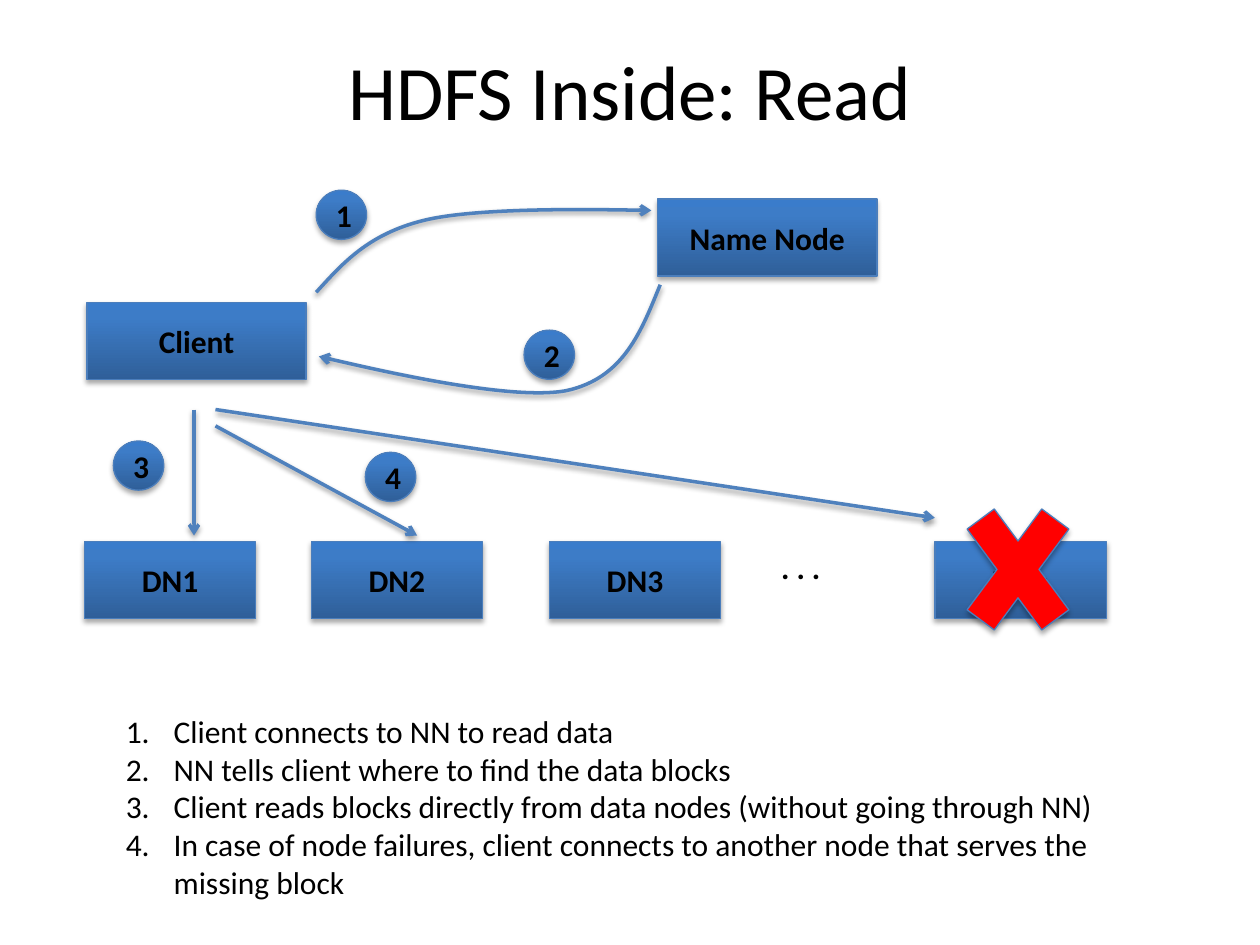
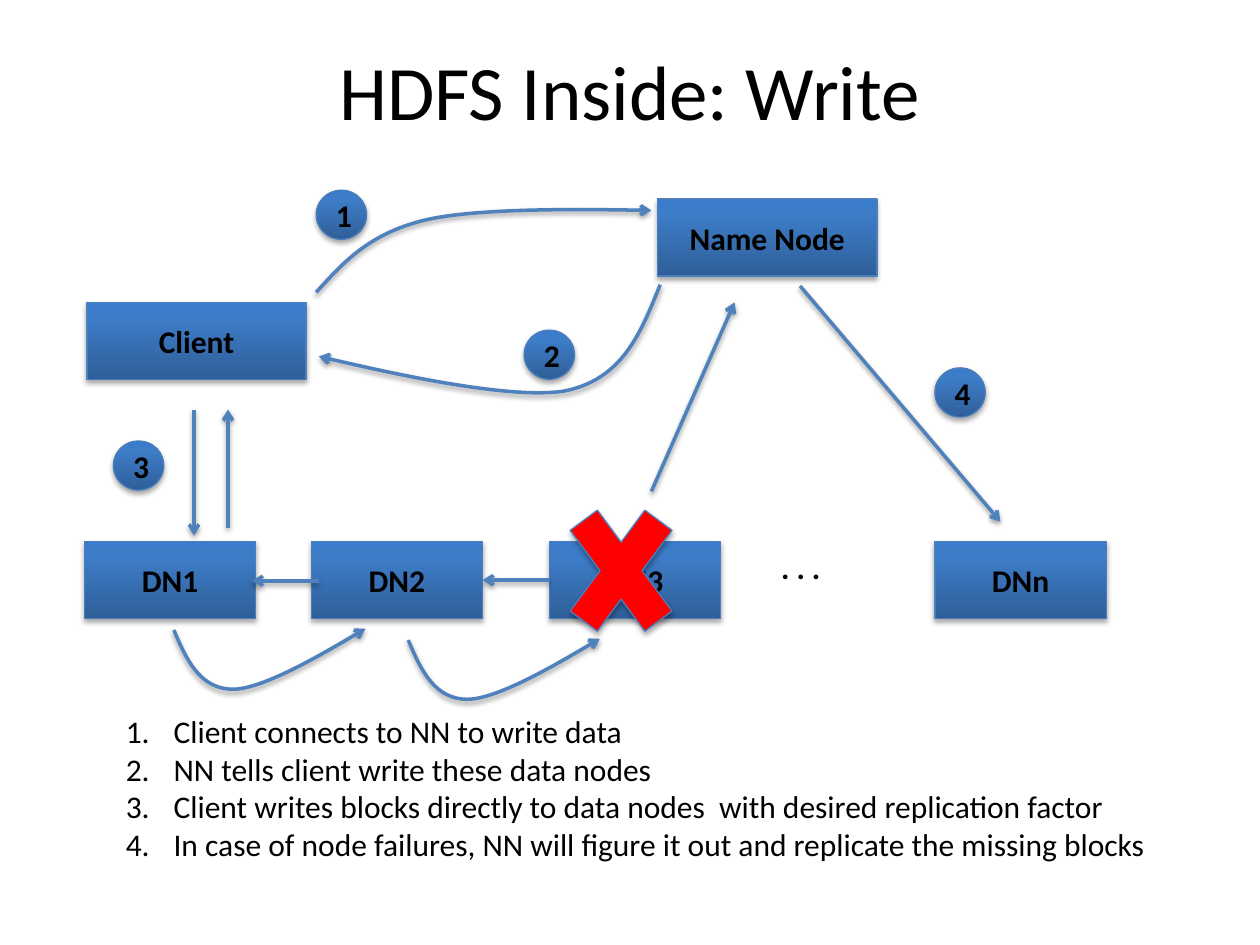
"""Builds two slides showing how HDFS clients read and write data blocks."""
import copy

import pptx
import pptx.dml.color
import pptx.enum.shapes
import pptx.enum.text
import pptx.oxml
import pptx.oxml.ns
import pptx.util
from pptx.util import Inches

RGB = pptx.dml.color.RGBColor
SHAPE = pptx.enum.shapes.MSO_SHAPE
ALIGN = pptx.enum.text.PP_ALIGN
ANCHOR = pptx.enum.text.MSO_ANCHOR

BLACK = RGB(0x00, 0x00, 0x00)
RED = RGB(0xFF, 0x00, 0x00)
OUTLINE = RGB(0x4B, 0x7E, 0xBC)
ARROW = RGB(0x4F, 0x81, 0xBD)
NODE_STOPS = [
    (0.0, RGB(0x2F, 0x5F, 0x99)),
    (0.8, RGB(0x3D, 0x7C, 0xC7)),
    (1.0, RGB(0x3A, 0x7C, 0xCB)),
]

TITLE_FONT = {"name": "Calibri", "size": pptx.util.Pt(44)}
LABEL_FONT = {"name": "Calibri", "size": pptx.util.Pt(18), "bold": True}
STEP_FONT = {"name": "Calibri", "size": pptx.util.Pt(18)}

NODE_HEIGHT = 0.61
MASTER_WIDTH, DATA_WIDTH = 1.74, 1.36
DATA_TOP = 4.3
BADGE_SIZE = (0.4, 0.39)
CROSS_SIZE = (1.14, 1.54)

MASTERS = {"Client": (0.69, 2.4), "Name Node": (5.22, 1.58)}
DATA_NODES = {"DN1": 0.67, "DN2": 2.47, "DN3": 4.36, "DNn": 7.42}
BADGES = [(2.51, 1.51), (4.16, 2.62), (0.9, 3.5)]
REQUEST_CURVES = [
    [(2.51, 2.32), (2.72, 2.09), (2.92, 1.86), (3.36, 1.75),
     (3.8, 1.64), (5.17, 1.67), (5.17, 1.67)],
    [(5.24, 2.26), (5.09, 2.63), (4.95, 3), (4.5, 3.1),
     (4.05, 3.19), (2.53, 2.83), (2.53, 2.83)],
]
CLIENT_TO_DN1 = ((1.54, 3.25), (1.54, 4.25))
REPLICA_CURVE = [(0, 0), (0.1, 0.24), (0.21, 0.47), (0.47, 0.47),
                 (0.72, 0.47), (1.52, -0.01), (1.52, -0.01)]

SLIDES = [
    {
        "title": "HDFS Inside: Read",
        "steps": [
            "Client connects to NN to read data",
            "NN tells client where to find the data blocks",
            "Client reads blocks directly from data nodes (without going through NN)",
            "In case of node failures, client connects to another node that serves "
            "the missing block",
        ],
        "steps_size": (8.22, 1.62),
        "failure_badge": (2.9, 3.59),
        "cross": (7.51, 3.75),
        "arrows": [((1.71, 3.25), (7.42, 4.11)), ((1.71, 3.38), (3.31, 4.25))],
        "replica_starts": [],
        "acknowledgements": [],
    },
    {
        "title": "HDFS Inside: Write",
        "steps": [
            "Client connects to NN to write data",
            "NN tells client write these data nodes",
            "Client writes blocks directly to data nodes  with desired replication factor",
            "In case of node failures, NN will figure it out and replicate the missing blocks",
        ],
        "steps_size": (8.7, 1.31),
        "failure_badge": (7.42, 2.92),
        "cross": (4.36, 3.76),
        "arrows": [
            ((6.35, 2.27), (7.94, 4.14)),
            ((1.81, 4.19), (1.81, 3.25)),
            ((2.53, 4.61), (2, 4.61)),
            ((5.17, 3.9), (5.83, 2.4)),
        ],
        "replica_starts": [(1.38, 5), (3.24, 5.08)],
        "acknowledgements": [("DN3", "DN2")],
    },
]


def add_xml(parent, xml):
    child = pptx.oxml.parse_xml(
        xml.replace(" ", f" {pptx.oxml.ns.nsdecls('a')} ", 1))
    parent.append(child)
    return child


def add_shadow(shape, alpha, distance):
    add_xml(shape.element.spPr, (
        f'<a:effectLst ><a:outerShdw blurRad="{pptx.util.Pt(3.1)}" '
        f'dist="{pptx.util.Pt(distance)}" dir="5400000" rotWithShape="0">'
        f'<a:srgbClr val="{BLACK}"><a:alpha val="{alpha * 1000}"/></a:srgbClr>'
        '</a:outerShdw></a:effectLst>'))


def style_text(paragraph, text, font_values):
    paragraph.text = text
    for attribute, value in font_values.items():
        setattr(paragraph.font, attribute, value)
    paragraph.font.color.rgb = BLACK


def add_preset(slide, preset, position, size):
    shape = slide.shapes.add_shape(preset, *map(Inches, position + size))
    shape.line.color.rgb = OUTLINE
    shape.line.width = pptx.util.Pt(0.75)
    return shape


def add_node(slide, preset, position, size, label):
    node = add_preset(slide, preset, position, size)
    node.fill.gradient()
    node.fill.gradient_angle = 90
    stops = node.element.spPr.find(".//" + pptx.oxml.ns.qn("a:gsLst"))
    stops.insert(1, copy.deepcopy(stops[0]))
    for stop, (offset, color) in zip(node.fill.gradient_stops, NODE_STOPS):
        stop.position = offset
        stop.color.rgb = color
    add_shadow(node, 35, 1.8)
    node.text_frame.vertical_anchor = ANCHOR.MIDDLE
    paragraph = node.text_frame.paragraphs[0]
    paragraph.alignment = ALIGN.CENTER
    style_text(paragraph, label, LABEL_FONT)
    return node


def add_cross(slide, position):
    cross = add_preset(slide, SHAPE.MATH_MULTIPLY, position, CROSS_SIZE)
    cross.fill.solid()
    cross.fill.fore_color.rgb = RED
    add_shadow(cross, 35, 1.8)


def style_arrow(arrow):
    arrow.line.color.rgb = ARROW
    arrow.line.width = pptx.util.Pt(2)
    outline = arrow.element.spPr.find(pptx.oxml.ns.qn("a:ln"))
    add_xml(outline, "<a:round />")
    add_xml(outline, '<a:tailEnd type="arrow"/>')
    add_shadow(arrow, 38, 1.6)


def add_arrow(slide, start, end):
    arrow = slide.shapes.add_connector(
        pptx.enum.shapes.MSO_CONNECTOR.STRAIGHT, *map(Inches, start + end))
    style_arrow(arrow)
    return arrow


def add_curve(slide, controls):
    start, *rest = [tuple(map(Inches, point)) for point in controls]
    builder = slide.shapes.build_freeform(*start)
    builder.add_line_segments(rest, close=False)
    curve = builder.convert_to_shape()
    segments = curve.element.spPr.findall(".//" + pptx.oxml.ns.qn("a:lnTo"))
    outline = segments[0].getparent()
    for first in range(0, len(segments), 3):
        bend = add_xml(outline, "<a:cubicBezTo />")
        for segment in segments[first:first + 3]:
            bend.append(segment[0])
            outline.remove(segment)
    curve.fill.background()
    style_arrow(curve)


def add_text(slide, position, size, lines, font_values):
    box = slide.shapes.add_textbox(*map(Inches, position + size))
    frame = box.text_frame
    frame.word_wrap = True
    for index, line in enumerate(lines):
        paragraph = frame.add_paragraph() if index else frame.paragraphs[0]
        style_text(paragraph, line, font_values)
    return frame


def add_title(slide, title):
    frame = add_text(slide, (0.5, 0.09), (9, 1.25), [title], TITLE_FONT)
    frame.vertical_anchor = ANCHOR.MIDDLE
    frame.paragraphs[0].alignment = ALIGN.CENTER


def add_steps(slide, steps, size):
    frame = add_text(slide, (0.9, 5.6), size, [], STEP_FONT)
    for index, step in enumerate(steps):
        paragraph = frame.add_paragraph() if index else frame.paragraphs[0]
        properties = paragraph._p.get_or_add_pPr()
        properties.set("marL", str(Inches(0.38)))
        properties.set("indent", str(Inches(-0.38)))
        add_xml(properties, '<a:buFont typeface="+mj-lt"/>')
        add_xml(properties, '<a:buAutoNum type="arabicPeriod"/>')
        style_text(paragraph, step, STEP_FONT)


def build_slide(deck, content):
    slide = deck.slides.add_slide(deck.slide_layouts[6])
    add_title(slide, content["title"])
    for label, position in MASTERS.items():
        add_node(slide, SHAPE.RECTANGLE, position, (MASTER_WIDTH, NODE_HEIGHT), label)
    data_nodes = {
        label: add_node(slide, SHAPE.RECTANGLE, (left, DATA_TOP),
                        (DATA_WIDTH, NODE_HEIGHT), label)
        for label, left in DATA_NODES.items()}
    add_text(slide, (6.1, DATA_TOP), (1.21, 0.4), [". . ."], LABEL_FONT)

    replica_curves = [[(left + x, top + y) for x, y in REPLICA_CURVE]
                      for left, top in content["replica_starts"]]
    for controls in REQUEST_CURVES + replica_curves:
        add_curve(slide, controls)
    add_cross(slide, content["cross"])
    for start, end in [CLIENT_TO_DN1] + content["arrows"]:
        add_arrow(slide, start, end)
    for sender, receiver in content["acknowledgements"]:
        arrow = add_arrow(slide, (0, 0), (1, 1))
        arrow.begin_connect(data_nodes[sender], 1)
        arrow.end_connect(data_nodes[receiver], 3)
    for number, position in enumerate(BADGES + [content["failure_badge"]], 1):
        add_node(slide, SHAPE.OVAL, position, BADGE_SIZE, str(number))
    add_steps(slide, content["steps"], content["steps_size"])


def main():
    deck = pptx.Presentation()
    deck.slide_width, deck.slide_height = Inches(10), Inches(7.5)
    for content in SLIDES:
        build_slide(deck, content)
    deck.save("out.pptx")


if __name__ == "__main__":
    main()
